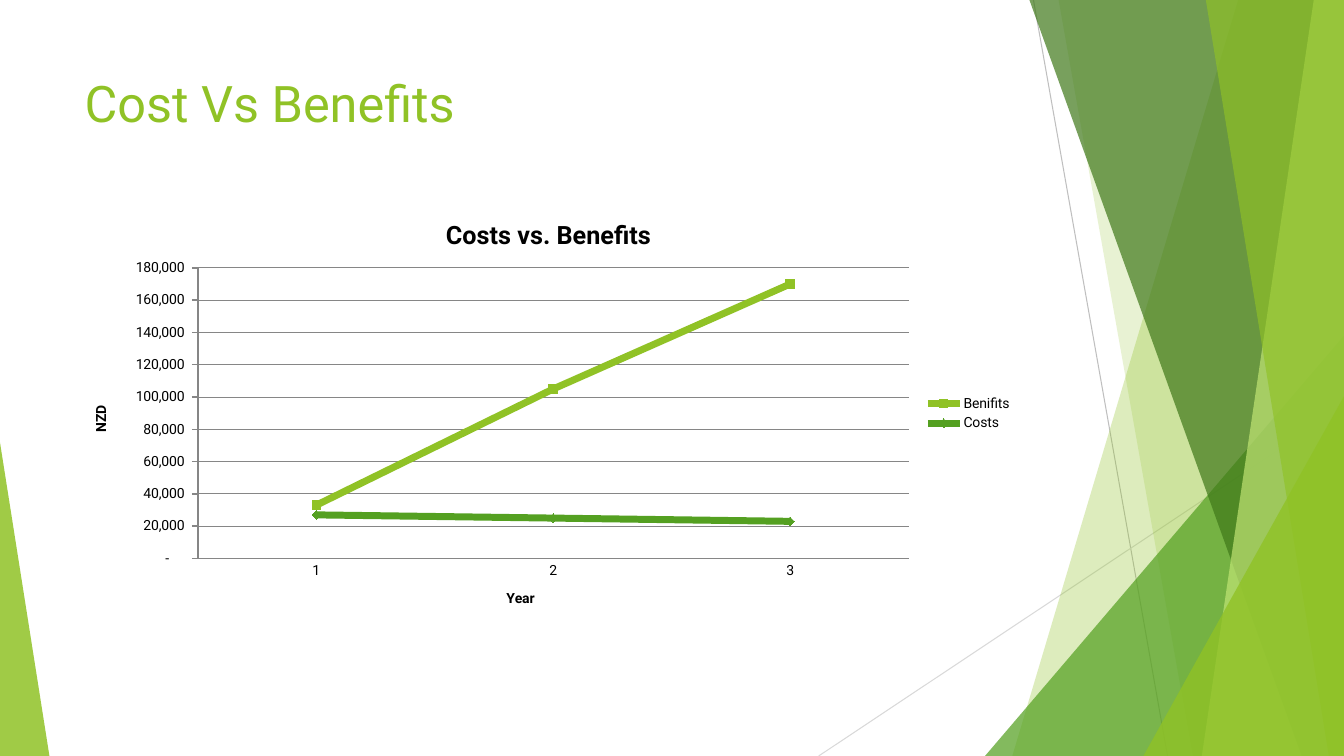
from lxml import etree
from pptx import Presentation
from pptx.chart.data import CategoryChartData
from pptx.dml.color import RGBColor
from pptx.enum.chart import XL_CHART_TYPE as ChartType, XL_LEGEND_POSITION as LegendPosition
from pptx.enum.chart import XL_MARKER_STYLE as MarkerStyle, XL_TICK_MARK as TickMark
from pptx.enum.shapes import MSO_CONNECTOR as Connector, MSO_SHAPE as Shape
from pptx.enum.text import MSO_ANCHOR as Anchor
from pptx.oxml import parse_xml
from pptx.oxml.ns import nsdecls, qn
from pptx.util import Inches, Pt

WIDTH, HEIGHT = 13.33, 7.5
FONT = "Roboto"
LIME = RGBColor(0x90, 0xC2, 0x26)
GREEN = RGBColor(0x54, 0xA0, 0x21)
FOREST = RGBColor(0x3F, 0x78, 0x19)
PALE_LIME = RGBColor(0xC0, 0xE4, 0x74)
GRAY = RGBColor(0xBF, 0xBF, 0xBF)
LIGHT_GRAY = RGBColor(0xD9, 0xD9, 0xD9)
AXIS_GRAY = RGBColor(0x86, 0x86, 0x86)
BLACK = RGBColor(0, 0, 0)


def paint(shape, color, opacity):
    """Give a shape a translucent fill, no outline and no shadow."""
    shape.shadow.inherit = False
    shape.line.fill.background()
    shape.fill.solid()
    shape.fill.fore_color.rgb = color
    color_element = shape.fill._xPr.find(qn("a:solidFill"))[0]
    etree.SubElement(color_element, qn("a:alpha"), val=str(opacity * 1000))


def add_thin_line(slide, start, end, color):
    line = slide.shapes.add_connector(Connector.STRAIGHT, *map(Inches, start + end))
    line.line.color.rgb = color
    line.line.width = Pt(0.75)
    etree.SubElement(line._element.spPr, qn("a:effectLst"))


def add_band(slide, top_x, bottom_x, color, opacity):
    """Fill the full-height area between a slanted edge and the right of the slide."""
    corners = [(top_x, 0), (WIDTH, 0), (WIDTH, HEIGHT), (bottom_x, HEIGHT)]
    points = [(Inches(x), Inches(y)) for x, y in corners]
    builder = slide.shapes.build_freeform(*points[0])
    builder.add_line_segments(points[1:], close=True)
    paint(builder.convert_to_shape(), color, opacity)


def add_corner(slide, left, top, width, apex, color, opacity):
    """Stand a triangle on the bottom edge, its apex at a fraction of its width."""
    box = map(Inches, (left, top, width, HEIGHT - top))
    triangle = slide.shapes.add_shape(Shape.ISOSCELES_TRIANGLE, *box)
    triangle.adjustments[0] = apex
    paint(triangle, color, opacity)


def add_facets(slide):
    add_thin_line(slide, (10.25, 0), (11.58, HEIGHT), GRAY)
    add_thin_line(slide, (WIDTH, 4.03), (8.12, HEIGHT), LIGHT_GRAY)
    add_band(slide, 12.28, 10.04, LIME, 30)
    add_band(slide, 10.5, 11.83, LIME, 20)
    add_corner(slide, 9.77, 3.33, 3.56, 1, GREEN, 72)
    add_band(slide, 10.21, 12.91, FOREST, 70)
    add_band(slide, 13.03, 11.92, PALE_LIME, 70)
    add_band(slide, 11.96, 13.18, LIME, 65)
    add_corner(slide, 11.34, 3.93, 1.99, 1, LIME, 80)
    add_corner(slide, 0, 4.39, 0.49, 0, LIME, 85)


def add_title(slide, left, top, width, height):
    box = slide.shapes.add_textbox(*map(Inches, (left, top, width, height)))
    frame = box.text_frame
    frame.word_wrap = True
    frame.vertical_anchor = Anchor.TOP
    frame.text = "Cost Vs Benefits"
    font = frame.paragraphs[0].runs[0].font
    font.name, font.size, font.color.rgb = FONT, Pt(36), LIME


def set_heading(owner, text, size):
    """Title a chart or an axis in bold."""
    frame = owner.text_frame
    frame.text = text
    font = frame.paragraphs[0].runs[0].font
    font.name, font.size, font.bold, font.color.rgb = FONT, Pt(size), True, BLACK


def set_plot_area(chart, x, y, width, height):
    """Fix the inner plot area, in fractions of the chart."""
    plot_area = chart._chartSpace.chart.plotArea
    for layout in plot_area.findall(qn("c:layout")):
        plot_area.remove(layout)
    sizes = "".join(f'<c:{tag} val="{value}"/>' for tag, value in
                    (("x", x), ("y", y), ("w", width), ("h", height)))
    plot_area.insert(0, parse_xml(
        f'<c:layout {nsdecls("c")}><c:manualLayout><c:layoutTarget val="inner"/>'
        f'<c:xMode val="edge"/><c:yMode val="edge"/>{sizes}</c:manualLayout></c:layout>'))


def add_cost_chart(slide, left, top, width, height):
    data = CategoryChartData()
    data.categories = ["1", "2", "3"]
    data.add_series("Benifits", (33000, 105000, 170000))
    data.add_series("Costs", (27000, 25000, 23000))
    box = map(Inches, (left, top, width, height))
    chart = slide.shapes.add_chart(ChartType.LINE_MARKERS, *box, data).chart
    chart.font.name, chart.font.size, chart.font.color.rgb = FONT, Pt(10), BLACK
    chart.has_title = True
    set_heading(chart.chart_title, "Costs vs. Benefits", 18)
    chart.has_legend = True
    chart.legend.position = LegendPosition.RIGHT
    chart.legend.include_in_layout = False
    set_plot_area(chart, 0.13, 0.16, 0.75, 0.68)

    years, dollars = chart.category_axis, chart.value_axis
    for axis, heading, tick in ((years, "Year", TickMark.NONE),
                                (dollars, "NZD", TickMark.OUTSIDE)):
        set_heading(axis.axis_title, heading, 10)
        axis.major_tick_mark = tick
        axis.minor_tick_mark = TickMark.NONE
        axis.format.line.color.rgb = AXIS_GRAY
        axis.format.line.width = Pt(1)
    dollars.minimum_scale, dollars.maximum_scale, dollars.major_unit = 0, 180000, 20000
    dollars.has_major_gridlines = True
    dollars.major_gridlines.format.line.color.rgb = AXIS_GRAY
    dollars.major_gridlines.format.line.width = Pt(0.75)
    dollars.tick_labels.number_format = r'_(* #,##0_);_(* \(#,##0\);_(* "-"??_);_(@_)'
    dollars.tick_labels.number_format_is_linked = False

    plot = chart.plots[0]
    plot.vary_by_categories = False
    looks = ((LIME, MarkerStyle.SQUARE), (GREEN, MarkerStyle.DIAMOND))
    for series, (color, style) in zip(plot.series, looks):
        series.smooth = False
        series.format.line.color.rgb = color
        series.format.line.width = Pt(5)
        series.marker.style = style
        series.marker.size = 6
        series.marker.format.fill.solid()
        series.marker.format.fill.fore_color.rgb = color
        series.marker.format.line.color.rgb = color


def main():
    presentation = Presentation()
    presentation.slide_width = Inches(WIDTH)
    presentation.slide_height = Inches(HEIGHT)
    slide = presentation.slides.add_slide(presentation.slide_layouts[6])
    add_facets(slide)
    add_title(slide, 0.74, 0.67, 9.4, 1.44)
    add_cost_chart(slide, 0.74, 1.98, 9.4, 4.24)
    presentation.save("out.pptx")


if __name__ == "__main__":
    main()
